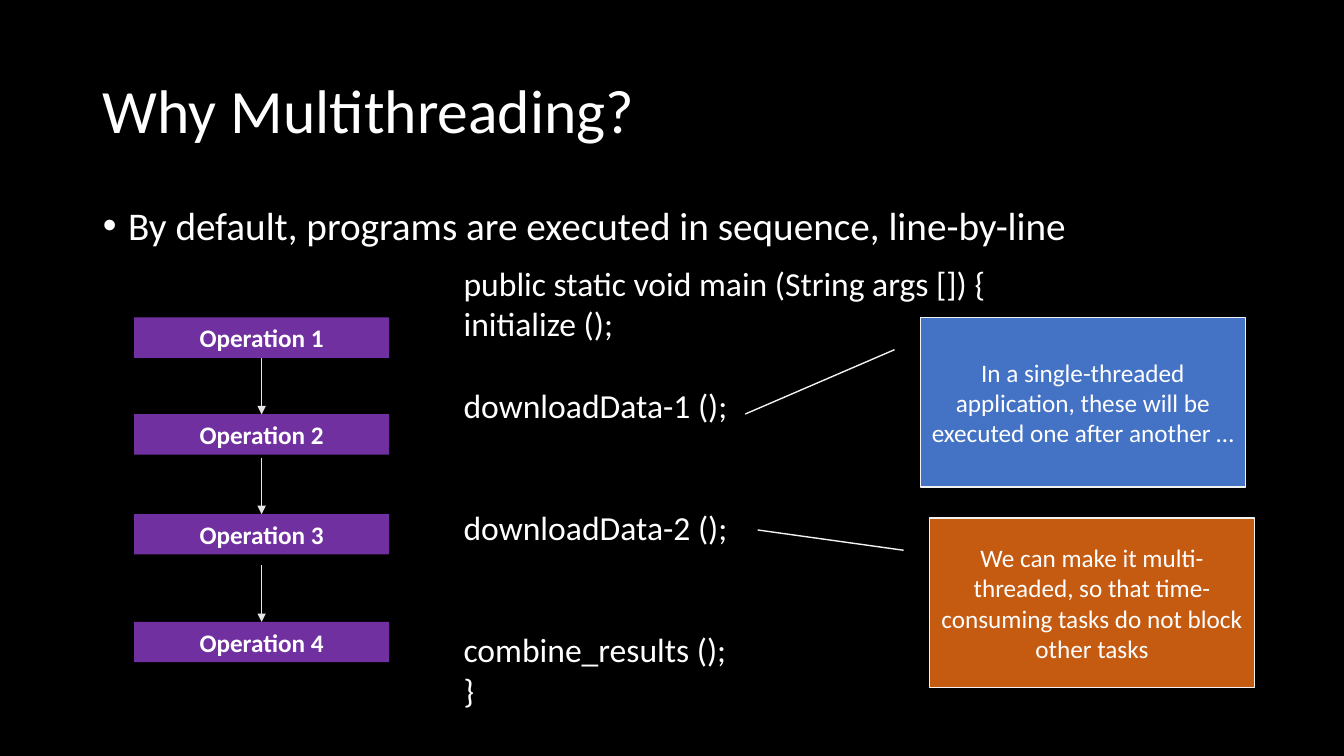
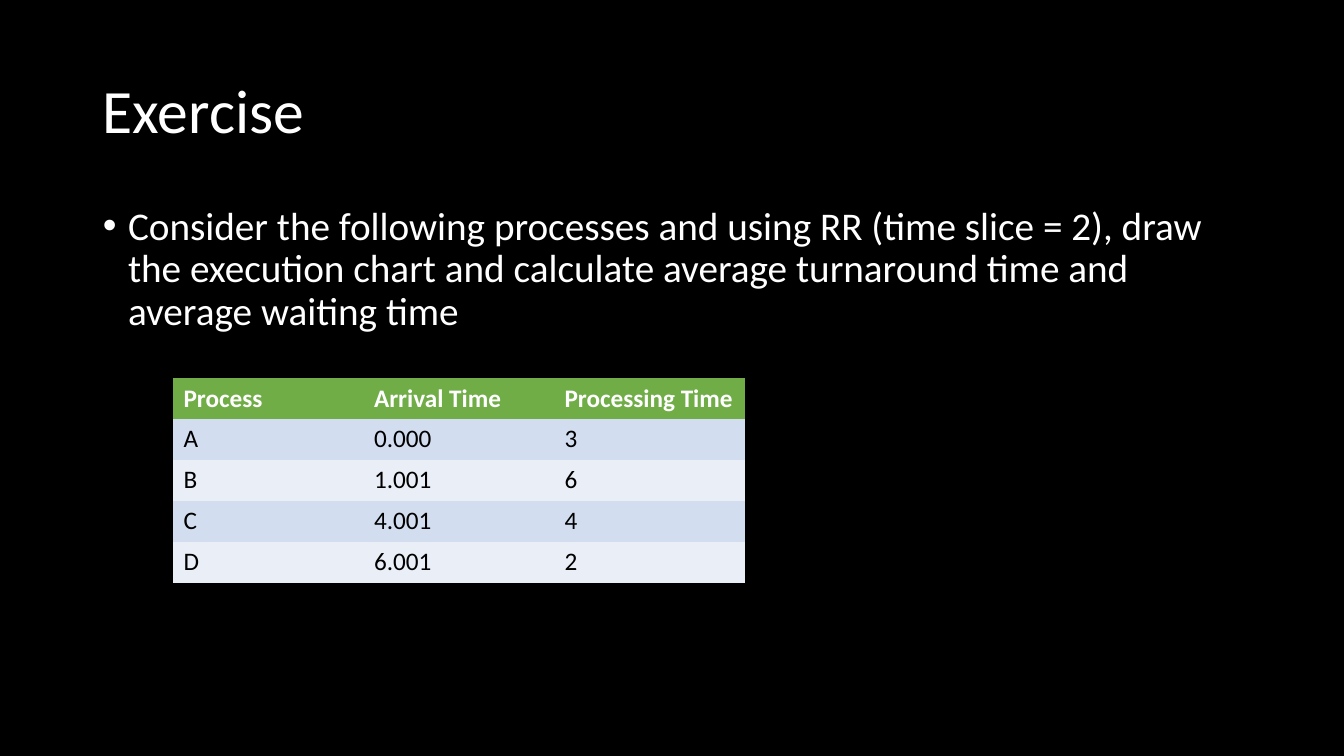
from pptx import Presentation
from pptx.dml.color import RGBColor
from pptx.enum.shapes import MSO_CONNECTOR, MSO_SHAPE
from pptx.enum.text import MSO_ANCHOR, MSO_AUTO_SIZE, PP_ALIGN
from pptx.oxml.ns import qn
from pptx.util import Inches, Pt
from lxml.etree import SubElement

BLACK = RGBColor(0x00, 0x00, 0x00)
WHITE = RGBColor(0xFF, 0xFF, 0xFF)
SILVER = RGBColor(0xE7, 0xE6, 0xE6)
PALE = RGBColor(0xF2, 0xF2, 0xF2)
PURPLE = RGBColor(0x70, 0x30, 0xA0)
BLUE = RGBColor(0x44, 0x72, 0xC4)
ORANGE = RGBColor(0xC5, 0x5A, 0x11)
GREEN = RGBColor(0x70, 0xAD, 0x47)
BANDS = (RGBColor(0xD2, 0xDE, 0xEF), RGBColor(0xEA, 0xEF, 0xF7))
FONT = "Calibri"
NO_STYLE = "{2D5ABB26-0587-4C30-8999-92F81FD0307C}"
FRAMES = ((0.92, 0.4, 11.5, 1.45), (0.92, 2, 11.5, 4.76))


def place(shape, box):
    shape.left, shape.top, shape.width, shape.height = map(Inches, box)


def style(para, size, color=WHITE, bold=False, align=PP_ALIGN.LEFT):
    para.alignment = align
    font = para.font
    font.name = FONT
    font.size = Pt(size)
    font.bold = bold
    font.color.rgb = color


def set_up(deck):
    deck.slide_width, deck.slide_height = Inches(13.33), Inches(7.5)
    fill = deck.slide_master.background.fill
    fill.solid()
    fill.fore_color.rgb = BLACK
    layout = deck.slide_layouts[1]
    for holder, box in zip(layout.placeholders, FRAMES):
        place(holder, box)
    return layout


def add_page(deck, layout, title, point):
    slide = deck.slides.add_slide(layout)
    texts = (title, 44, MSO_ANCHOR.MIDDLE), (point, 28, MSO_ANCHOR.TOP)
    for holder, (text, size, anchor) in zip(slide.placeholders, texts):
        frame = holder.text_frame
        frame.text = text
        frame.auto_size = MSO_AUTO_SIZE.NONE
        frame.vertical_anchor = anchor
        para = frame.paragraphs[0]
        para.line_spacing = 0.9
        para.space_before = Pt(0)
        style(para, size)
    props = para._p.get_or_add_pPr()
    props.set("marL", str(Inches(0.25)))
    props.set("indent", str(Inches(-0.25)))
    return slide


def add_block(slide, kind, box, text, color, edge=None, bold=False):
    shape = slide.shapes.add_shape(kind, *map(Inches, box))
    shape.shadow.inherit = False
    shape.fill.solid()
    shape.fill.fore_color.rgb = color
    if edge is None:
        shape.line.fill.background()
    else:
        shape.line.color.rgb = edge
        shape.line.width = Pt(1)
    frame = shape.text_frame
    frame.word_wrap = True
    frame.vertical_anchor = MSO_ANCHOR.MIDDLE
    frame.text = text
    style(frame.paragraphs[0], 18, bold=bold, align=PP_ALIGN.CENTER)
    return shape


def add_arrow(slide, x, top, end):
    arrow = slide.shapes.add_connector(
        MSO_CONNECTOR.STRAIGHT, Inches(x), Inches(top), Inches(x), Inches(end))
    arrow.line.color.rgb = SILVER
    arrow.line.width = Pt(1)
    SubElement(arrow.line._get_or_add_ln(), qn("a:tailEnd"), type="triangle")
    SubElement(arrow._element.spPr, qn("a:effectLst"))


def add_flow(slide, left, top, width, steps):
    for num, step in enumerate(steps, 1):
        y = top + step
        add_block(slide, MSO_SHAPE.RECTANGLE, (left, y, width, 0.4),
                  f"Operation {num}", PURPLE, bold=True)
        if step:
            add_arrow(slide, left + width / 2, y - 0.56, y)


def add_code(slide, box, lines):
    frame = slide.shapes.add_textbox(*map(Inches, box)).text_frame
    frame.word_wrap = True
    for num, (text, gap) in enumerate(lines):
        para = frame.add_paragraph() if num else frame.paragraphs[0]
        para.text = text
        para.space_before = Pt(29.3 * gap)
        style(para, 24)


def add_note(slide, left, top, text, color, tip):
    note = add_block(slide, MSO_SHAPE.LINE_CALLOUT_1,
                     (left, top, 3.22, 1.68), text, color, PALE)
    for num, value in enumerate((0.19, -0.08, *tip)):
        note.adjustments[num] = value


def add_grid(slide, box, rows):
    frame = slide.shapes.add_table(len(rows), len(rows[0]), *map(Inches, box))
    frame._element.find(".//" + qn("a:tableStyleId")).text = NO_STYLE
    for y, row in enumerate(rows):
        head = y == 0
        for x, text in enumerate(row):
            cell = frame.table.cell(y, x)
            cell.fill.solid()
            cell.fill.fore_color.rgb = GREEN if head else BANDS[(y - 1) % 2]
            cell.text = text
            style(cell.text_frame.paragraphs[0], 18,
                  WHITE if head else BLACK, head)


def add_why(deck, layout):
    slide = add_page(
        deck, layout, "Why Multithreading?",
        "By default, programs are executed in sequence, line-by-line")
    add_flow(slide, 1.33, 3.15, 2.53, (0, 0.96, 1.95, 3.02))
    add_code(slide, (4.5, 2.56, 5.7, 4.54), (
        ("public static void main (String args []) {", 0),
        ("initialize ();", 0),
        ("downloadData-1 ();", 1),
        ("downloadData-2 ();", 2),
        ("combine_results ();", 2),
        ("}", 0)))
    add_note(slide, 9.13, 3.15,
             "In a single-threaded application, these will be executed "
             "one after another …", BLUE, (0.57, -0.54))
    add_note(slide, 9.22, 5.14,
             "We can make it multi-threaded, so that time-consuming tasks "
             "do not block other tasks", ORANGE, (0.07, -0.53))


def add_task(deck, layout):
    slide = add_page(
        deck, layout, "Exercise",
        "Consider the following processes and using RR (time slice = 2), "
        "draw the execution chart and calculate average turnaround time "
        "and average waiting time")
    add_grid(slide, (1.72, 3.75, 5.67, 2.03), (
        ("Process", "Arrival Time", "Processing Time"),
        ("A", "0.000", "3"),
        ("B", "1.001", "6"),
        ("C", "4.001", "4"),
        ("D", "6.001", "2")))


def main():
    deck = Presentation()
    layout = set_up(deck)
    add_why(deck, layout)
    add_task(deck, layout)
    deck.save("out.pptx")


if __name__ == "__main__":
    main()
